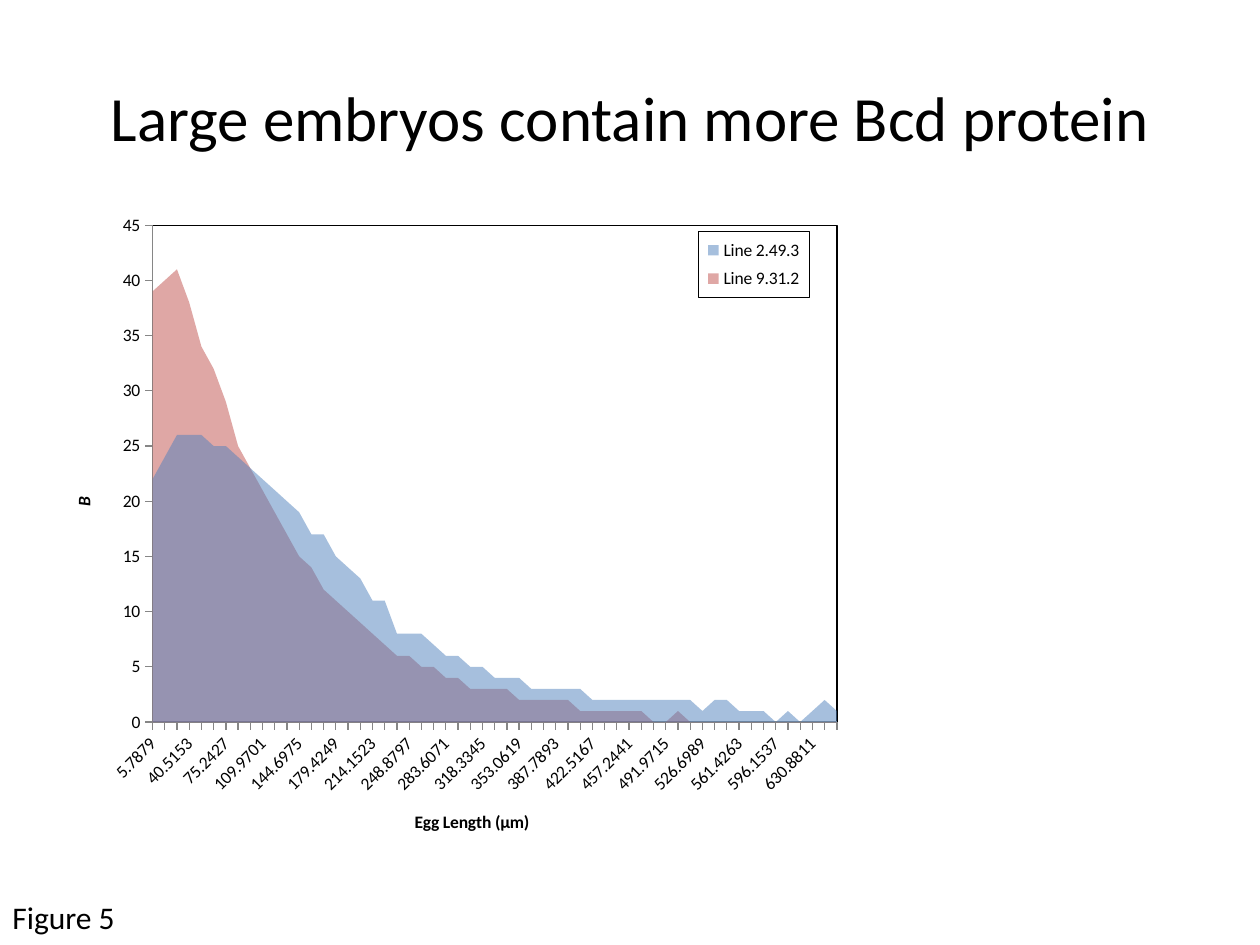
import dataclasses

import lxml.etree
import pptx
import pptx.chart.data
import pptx.dml.color
import pptx.enum.chart
import pptx.enum.text
import pptx.oxml
import pptx.oxml.ns
import pptx.util

Pt = pptx.util.Pt
qn = pptx.oxml.ns.qn


@dataclasses.dataclass(frozen=True)
class Theme:
    font: str = "Calibri"
    ink: str = "000000"
    axis: str = "868686"
    lines: tuple = ("4F81BD", "C0504D")
    opacity: int = 50
    title: int = 36
    caption: int = 18
    chart: int = 10


theme = Theme()
ink = pptx.dml.color.RGBColor.from_string(theme.ink)


def set_layout(element, position, inner=False):
    for old in element.findall(qn("c:layout")):
        element.remove(old)
    layout = pptx.oxml.parse_xml(f"<c:layout {pptx.oxml.ns.nsdecls('c')}><c:manualLayout/></c:layout>")
    settings = [("layoutTarget", "inner")] if inner else []
    settings += [("xMode", "edge"), ("yMode", "edge"), *zip("xywh", position)]
    for tag, value in settings:
        lxml.etree.SubElement(layout[0], qn(f"c:{tag}")).set("val", str(value))
    element.insert(0 if inner else 1, layout)


def write_run(paragraph, text, size, bold=False, italic=False):
    run = paragraph.add_run()
    run.text = text
    run.font.name = theme.font
    run.font.size = Pt(size)
    run.font.bold = bold
    run.font.italic = italic
    run.font.color.rgb = ink


presentation = pptx.Presentation()
presentation.slide_width, presentation.slide_height = Pt(720), Pt(540)
slide = presentation.slides.add_slide(presentation.slide_layouts[5])

headline = slide.shapes.title
headline.left, headline.top, headline.width, headline.height = Pt(36), Pt(21.6), Pt(648), Pt(90)
headline.text_frame.vertical_anchor = pptx.enum.text.MSO_ANCHOR.MIDDLE
headline.text_frame.paragraphs[0].alignment = pptx.enum.text.PP_ALIGN.CENTER
write_run(headline.text_frame.paragraphs[0], "Large embryos contain more Bcd protein", theme.title)

bcd_levels = {
    "Line 2.49.3": [
        22, 24, 26, 26, 26, 25, 25, 24, 23, 22, 21, 20, 19, 17, 17, 15, 14, 13, 11, 11,
        8, 8, 8, 7, 6, 6, 5, 5, 4, 4, 4, 3, 3, 3, 3, 3, 2, 2, 2, 2,
        2, 2, 2, 2, 2, 1, 2, 2, 1, 1, 1, 0, 1, 0, 1, 2, 1,
    ],
    "Line 9.31.2": [
        39, 40, 41, 38, 34, 32, 29, 25, 23, 21, 19, 17, 15, 14, 12, 11, 10, 9, 8, 7,
        6, 6, 5, 5, 4, 4, 3, 3, 3, 3, 2, 2, 2, 2, 2, 1, 1, 1, 1, 1,
        1, 0, 0, 1, 0, -2,
    ],
}
first_bin, bin_width, bin_count = 5.7879, 11.5758, 57
profile = pptx.chart.data.CategoryChartData()
profile.categories = [round(first_bin + bin_width * i, 4) for i in range(bin_count)]
for line_name, levels in bcd_levels.items():
    profile.add_series(line_name, levels + [None] * (bin_count - len(levels)))

chart = slide.shapes.add_chart(
    pptx.enum.chart.XL_CHART_TYPE.AREA, Pt(23.76), Pt(113.76), Pt(528.48), Pt(373.68), profile
).chart
chart.has_title = False
chart.font.name = theme.font
chart.font.size = Pt(theme.chart)
chart.font.color.rgb = ink
chart.plots[0].vary_by_categories = False

for series, color in zip(chart.plots[0].series, theme.lines):
    series.format.fill.solid()
    series.format.fill.fore_color.rgb = pptx.dml.color.RGBColor.from_string(color)
    series.format.line.fill.background()
    shade = series._element.find(f"{qn('c:spPr')}/{qn('a:solidFill')}")[0]
    lxml.etree.SubElement(shade, qn("a:alpha")).set("val", str(theme.opacity * 1000))

egg_length, bcd = chart.category_axis, chart.value_axis
for axis, label, italic, position in (
    (egg_length, "Egg Length (µm)", False, (0.4, 0.93)),
    (bcd, "B", True, (0.03, 0.45)),
):
    axis.has_major_gridlines = False
    axis.major_tick_mark = pptx.enum.chart.XL_TICK_MARK.OUTSIDE
    axis.minor_tick_mark = pptx.enum.chart.XL_TICK_MARK.NONE
    axis.format.line.color.rgb = pptx.dml.color.RGBColor.from_string(theme.axis)
    axis.format.line.width = Pt(0.75)
    axis.tick_labels.font.size = Pt(theme.chart)
    axis.has_title = True
    write_run(axis.axis_title.text_frame.paragraphs[0], label, theme.chart, True, italic)
    set_layout(axis.axis_title._element, position)

bcd.minimum_scale, bcd.maximum_scale, bcd.major_unit = 0, 45, 5
bcd.axis_title._element.find(f".//{qn('a:bodyPr')}").set("rot", "-5400000")
egg_length._element.find(f"{qn('c:txPr')}/{qn('a:bodyPr')}").set("rot", "-2700000")
crossing = bcd._element.find(qn("c:crossBetween"))
if crossing is None:
    crossing = pptx.oxml.parse_xml(f"<c:crossBetween {pptx.oxml.ns.nsdecls('c')}/>")
    bcd._element.find(qn("c:majorUnit")).addprevious(crossing)
crossing.set("val", "midCat")

chart.has_legend = True
chart.legend.position = pptx.enum.chart.XL_LEGEND_POSITION.RIGHT
chart.legend.include_in_layout = False
chart.legend.font.size = Pt(theme.chart)
set_layout(chart.legend._element, (0.71, 0.05, 0.12, 0.1))

plot_area = chart._chartSpace.find(f".//{qn('c:plotArea')}")
set_layout(plot_area, (0.12, 0.04, 0.74, 0.76), inner=True)
frame = (
    f"<c:spPr {pptx.oxml.ns.nsdecls('c', 'a')}><a:noFill/><a:ln w='{Pt(0.75)}'>"
    f"<a:solidFill><a:srgbClr val='{theme.ink}'/></a:solidFill></a:ln></c:spPr>"
)
plot_area.append(pptx.oxml.parse_xml(frame))
chart.legend._element.find(qn("c:txPr")).addprevious(pptx.oxml.parse_xml(frame))

caption = slide.shapes.add_textbox(Pt(0), Pt(509.76), Pt(73.44), Pt(51.12)).text_frame
caption.word_wrap = False
caption.auto_size = pptx.enum.text.MSO_AUTO_SIZE.SHAPE_TO_FIT_TEXT
write_run(caption.paragraphs[0], "Figure 5", theme.caption)

presentation.save("out.pptx")
